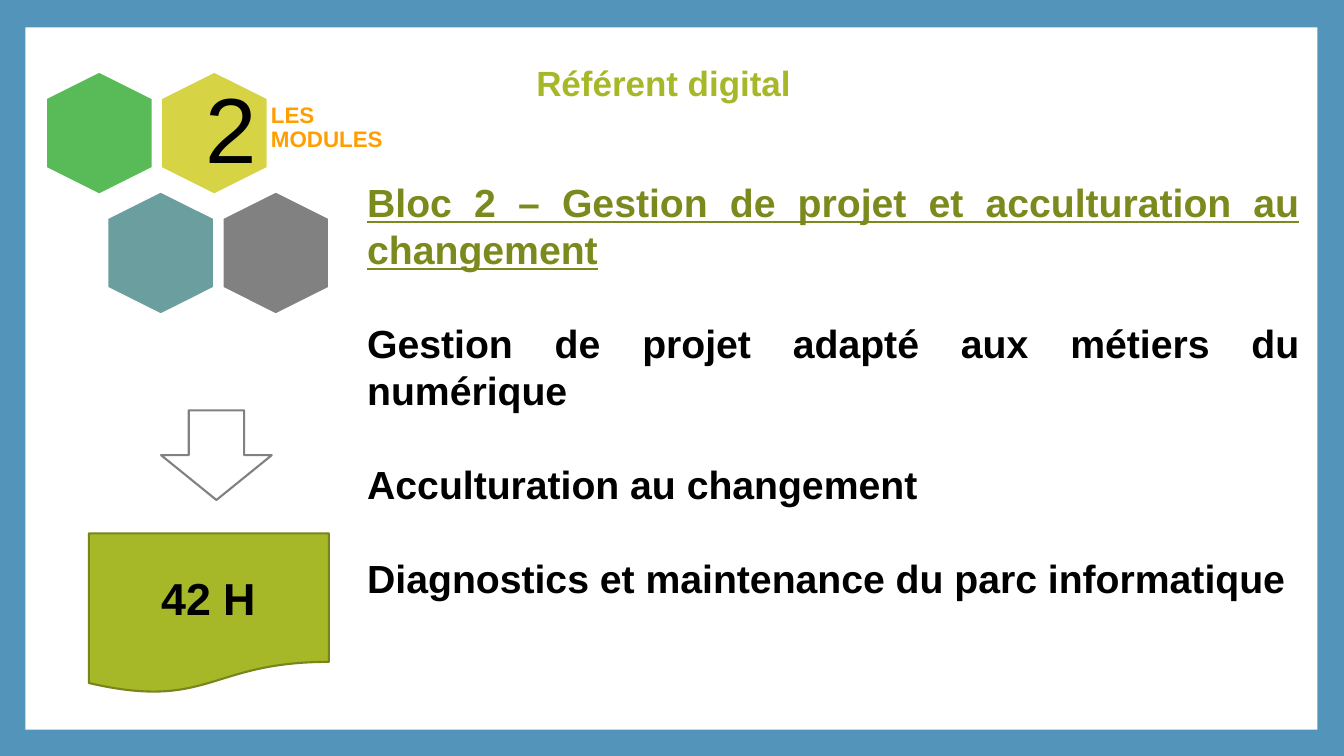
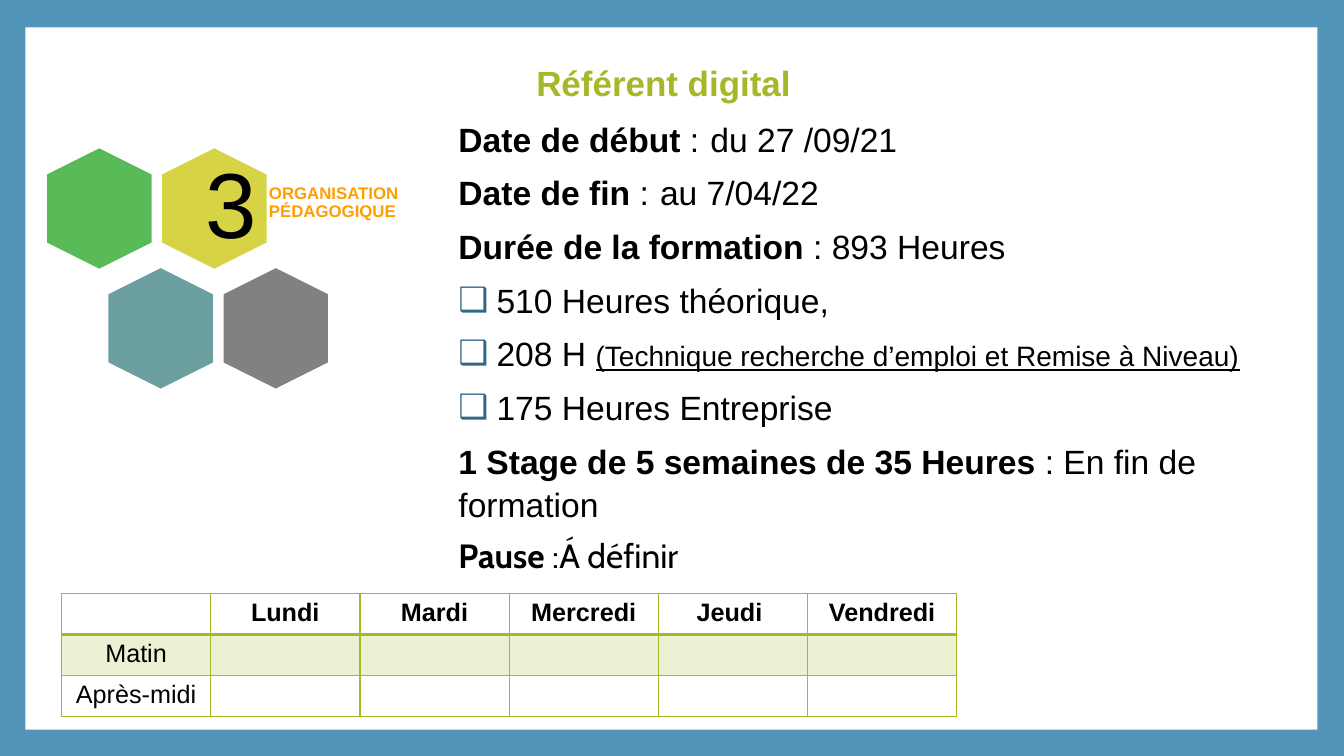
from dataclasses import dataclass

from lxml.etree import SubElement
from pptx import Presentation
from pptx.dml.color import RGBColor
from pptx.enum.shapes import MSO_SHAPE as Preset
from pptx.enum.text import MSO_ANCHOR as Anchor, MSO_AUTO_SIZE as AutoSize, PP_ALIGN as Align
from pptx.oxml import parse_xml
from pptx.oxml.ns import nsdecls, qn
from pptx.util import Cm, Pt


@dataclass(frozen=True)
class Theme:
    font: str = "Arial"
    accent_font: str = "Cabin"
    frame: str = "5294BA"
    white: str = "FFFFFF"
    black: str = "000000"
    lime: str = "A6B727"
    lime_dark: str = "7C891D"
    lime_edge: str = "79851C"
    lime_pale: str = "EDF1D4"
    orange: str = "FE9E00"
    bullet: str = "306786"
    grey_edge: str = "818183"
    hexagons: tuple = ("58BB57", "D6D445", "6B9F9F", "818181")
    number_size: int = 66
    duration_size: int = 32
    block_size: int = 28
    title_size: int = 25
    detail_size: int = 24
    note_size: int = 20
    table_size: int = 18


THEME = Theme()


@dataclass(frozen=True)
class Run:
    text: str
    size: float = THEME.detail_size
    bold: bool = False
    color: str = THEME.black
    underline: bool = False
    font: str = THEME.font


@dataclass(frozen=True)
class Line:
    runs: tuple
    before: float = 0
    spacing: float = 1.0
    align: Align = Align.LEFT
    hanging: float = 0
    bullet: str = ""
    tab: float = 0


def rgb(color):
    return RGBColor.from_string(color)


class Deck:
    def __init__(self, theme):
        self.theme = theme
        self.prs = Presentation()
        self.prs.slide_width, self.prs.slide_height = Cm(33.87), Cm(19.05)
        self.slide = None
        background = self.prs.slide_master.background.fill
        background.solid()
        background.fore_color.rgb = rgb(theme.frame)

    # Slide with its title; the white panel goes once to the master
    def new_slide(self, title):
        first = self.slide is None
        self.slide = self.prs.slides.add_slide(self.prs.slide_layouts[1])
        if first:
            panel = self.shape(Preset.RECTANGLE, (0.64, 0.69, 32.56, 17.7), self.theme.white)
            self.prs.slide_master.shapes.element.insert(2, panel.element)
        heading = self.slide.shapes.title
        self.place(heading, (5.77, 1.42, 21.9, 1.32))
        run = Run(title, self.theme.title_size, True, self.theme.lime)
        self.set_lines(heading.text_frame, [Line((run,), align=Align.CENTER)])

    @staticmethod
    def place(item, box):
        item.left, item.top, item.width, item.height = map(Cm, box)

    # Paragraphs, run by run
    def set_lines(self, frame, lines, anchor=None, inset=None):
        frame.word_wrap = True
        frame.auto_size = AutoSize.NONE
        if anchor is not None:
            frame.vertical_anchor = anchor
        if inset is not None:
            frame.margin_left = frame.margin_right = Cm(inset)
            frame.margin_top = frame.margin_bottom = Cm(inset)
        for index, line in enumerate(lines):
            paragraph = frame.add_paragraph() if index else frame.paragraphs[0]
            self.fill_paragraph(paragraph, line)

    def fill_paragraph(self, paragraph, line):
        paragraph.alignment = line.align
        paragraph.line_spacing = line.spacing
        paragraph.space_before, paragraph.space_after = Pt(line.before), Pt(0)
        props = paragraph._p.get_or_add_pPr()
        props.set("marL", str(Cm(line.hanging)))
        props.set("indent", str(-Cm(line.hanging)))
        if line.bullet:
            color = SubElement(props, qn("a:buClr"))
            SubElement(color, qn("a:srgbClr"), val=self.theme.bullet)
            SubElement(props, qn("a:buChar"), char=line.bullet)
        else:
            SubElement(props, qn("a:buNone"))
        if line.tab:
            stops = SubElement(props, qn("a:tabLst"))
            SubElement(stops, qn("a:tab"), pos=str(Cm(line.tab)), algn="l")
        for part in line.runs:
            run = paragraph.add_run()
            run.text = part.text
            run.font.name, run.font.size = part.font, Pt(part.size)
            run.font.bold, run.font.underline = part.bold, part.underline
            run.font.color.rgb = rgb(part.color)

    def body(self, box, lines):
        content = self.slide.placeholders[1]
        self.place(content, box)
        self.set_lines(content.text_frame, lines, Anchor.TOP)

    def shape(self, preset, box, fill, edge=None, shapes=None):
        shapes = self.slide.shapes if shapes is None else shapes
        item = shapes.add_shape(preset, *map(Cm, box))
        item.shadow.inherit = False
        item.fill.solid()
        item.fill.fore_color.rgb = rgb(fill)
        if edge:
            item.line.color.rgb = rgb(edge)
            item.line.width = Pt(1.5)
        else:
            item.line.fill.background()
        return item

    # Four hexagons with the section number and its label
    def section(self, top, number, label, label_size, inset):
        theme = self.theme
        shapes = self.slide.shapes.add_group_shape().shapes
        for index, color in enumerate(theme.hexagons):
            row, column = divmod(index, 2)
            box = (0.95 + 2.9 * column + 1.55 * row, top + 3.02 * row, 3.1, 2.69)
            self.shape(Preset.HEXAGON, box, color, theme.white, shapes).rotation = 90
        digit = shapes.add_textbox(*map(Cm, (4.9, top + 0.28, 1.85, 2.13)))
        self.set_lines(digit.text_frame,
                       [Line((Run(number, theme.number_size),), spacing=0.9, align=Align.CENTER)],
                       Anchor.MIDDLE, 0)
        caption = shapes.add_textbox(*map(Cm, (6.65, top - 0.74, 3.84, 3.91)))
        self.set_lines(caption.text_frame,
                       [Line((Run(label, label_size, True, theme.orange),), spacing=0.9)],
                       Anchor.MIDDLE, inset)

    # Weekly grid: bold header, pale first row
    def timetable(self, left, top, column_width, row_height, rows):
        theme = self.theme
        grid = self.slide.shapes.add_table(
            len(rows), len(rows[0]), Cm(left), Cm(top),
            Cm(column_width * len(rows[0])), Cm(row_height * len(rows))).table
        grid.horz_banding = False
        for column in grid.columns:
            column.width = Cm(column_width)
        for r, texts in enumerate(rows):
            grid.rows[r].height = Cm(row_height)
            for c, text in enumerate(texts):
                cell = grid.cell(r, c)
                if r == 1:
                    cell.fill.solid()
                    cell.fill.fore_color.rgb = rgb(theme.lime_pale)
                else:
                    cell.fill.background()
                if text:
                    run = Run(text, theme.table_size, r == 0)
                    self.fill_paragraph(cell.text_frame.paragraphs[0],
                                        Line((run,), align=Align.CENTER))
                self.borders(cell, top=2 if r == 1 else 1, bottom=2 if r == 0 else 1)

    def borders(self, cell, top, bottom):
        props = cell._tc.get_or_add_tcPr()
        for index, (side, width) in enumerate((("L", 1), ("R", 1), ("T", top), ("B", bottom))):
            props.insert(index, parse_xml(
                f'<a:ln{side} {nsdecls("a")} w="{Pt(width)}"><a:solidFill>'
                f'<a:srgbClr val="{self.theme.lime}"/></a:solidFill></a:ln{side}>'))


def modules_slide(deck):
    theme = deck.theme
    deck.new_slide("Référent digital")
    deck.section(2.01, "2", "LES MODULES", 16, 0.18)

    # Block heading and modules
    def module(text, **style):
        return Line((Run(text, theme.block_size, True),), before=33.5, **style)

    heading = Run("Bloc 2 – Gestion de projet et acculturation au changement",
                  theme.block_size, True, theme.lime_dark, True)
    deck.body((9, 4.37, 24, 12.5), [
        Line((heading,), align=Align.JUSTIFY),
        module("Gestion de projet adapté aux métiers du numérique", align=Align.JUSTIFY),
        module("Acculturation au changement", align=Align.JUSTIFY),
        module("Diagnostics et maintenance du parc informatique", hanging=0.96),
    ])

    # Arrow to the duration
    deck.shape(Preset.DOWN_ARROW, (4.06, 10.34, 2.79, 2.26), theme.white, theme.grey_edge)
    duration = deck.shape(Preset.FLOWCHART_DOCUMENT, (2.24, 13.44, 6.05, 4.04),
                          theme.lime, theme.lime_edge)
    deck.set_lines(duration.text_frame,
                   [Line((Run("42 H", theme.duration_size, True),), align=Align.CENTER)],
                   Anchor.MIDDLE)


def organisation_slide(deck):
    theme = deck.theme
    deck.new_slide("Référent digital")
    deck.section(3.91, "3", "ORGANISATION PÉDAGOGIQUE", 12, 0.13)

    # Dates, hours and internship
    def detail(label, value, before=7.5, tab=0):
        return Line((Run(label, bold=True), Run(value)), before, 1.07, tab=tab)

    def hours(*runs):
        return Line(runs, 7.5, 1.07, hanging=0.96, bullet="❑")

    pause = (Run("Pause", bold=True, font=theme.accent_font),
             Run(" :\tÁ définir", font=theme.accent_font))
    deck.body((11.3, 2.79, 22.56, 12.57), [
        detail("Date de début ", ":\tdu 27 /09/21", before=0, tab=6.53),
        detail("Date de fin ", ":\tau 7/04/22", tab=5.28),
        detail("Durée de la formation ", ": 893 Heures"),
        hours(Run("510 Heures théorique,")),
        hours(Run("208 H "), Run("(Technique recherche d’emploi et Remise à Niveau)",
                                 theme.note_size, underline=True)),
        hours(Run("175 Heures Entreprise")),
        detail("1 Stage de 5 semaines de 35 Heures ", ": En fin de formation"),
        Line(pause, 7.5, tab=3.3),
    ])

    # Weekly timetable
    days = ["", "Lundi", "Mardi", "Mercredi", "Jeudi ", "Vendredi"]
    free = [""] * 5
    deck.timetable(1.55, 14.96, 3.76, 1.03, [days, ["Matin", *free], ["Après-midi", *free]])


def main():
    deck = Deck(THEME)
    modules_slide(deck)
    organisation_slide(deck)
    deck.prs.save("out.pptx")


if __name__ == "__main__":
    main()
